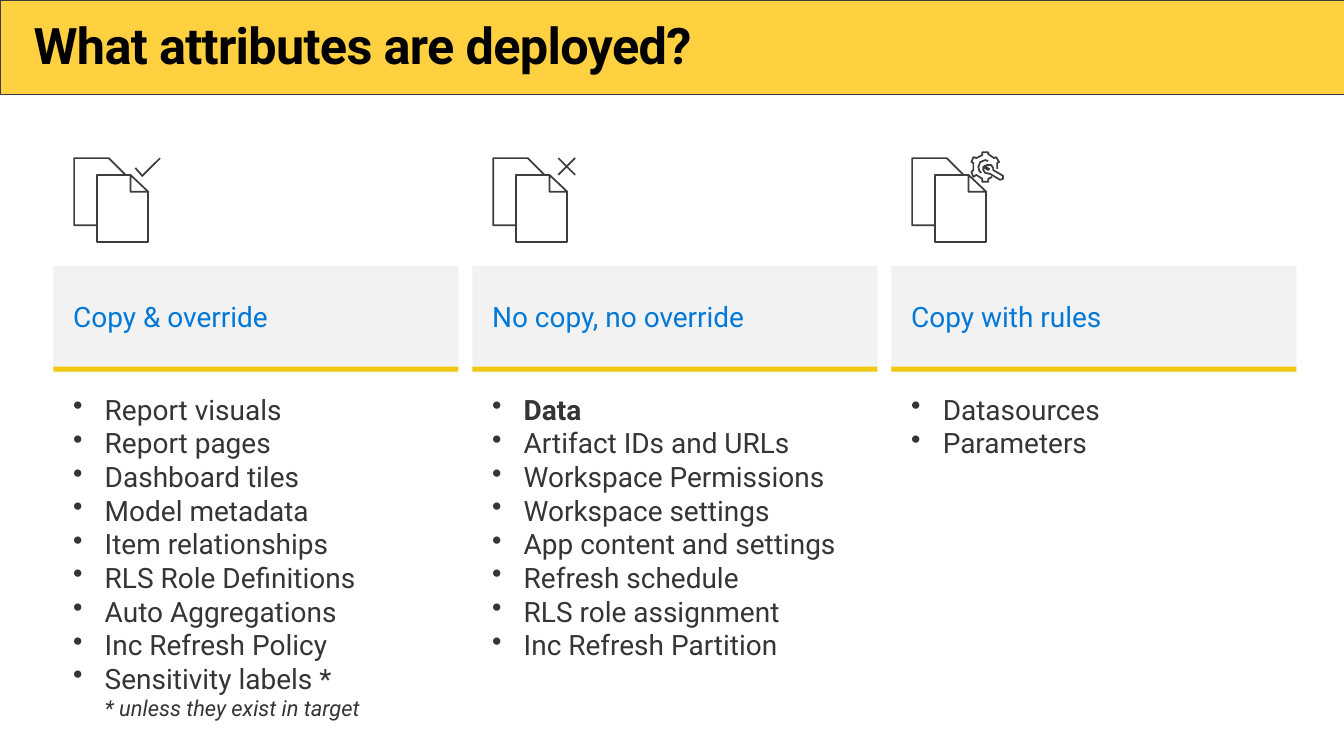
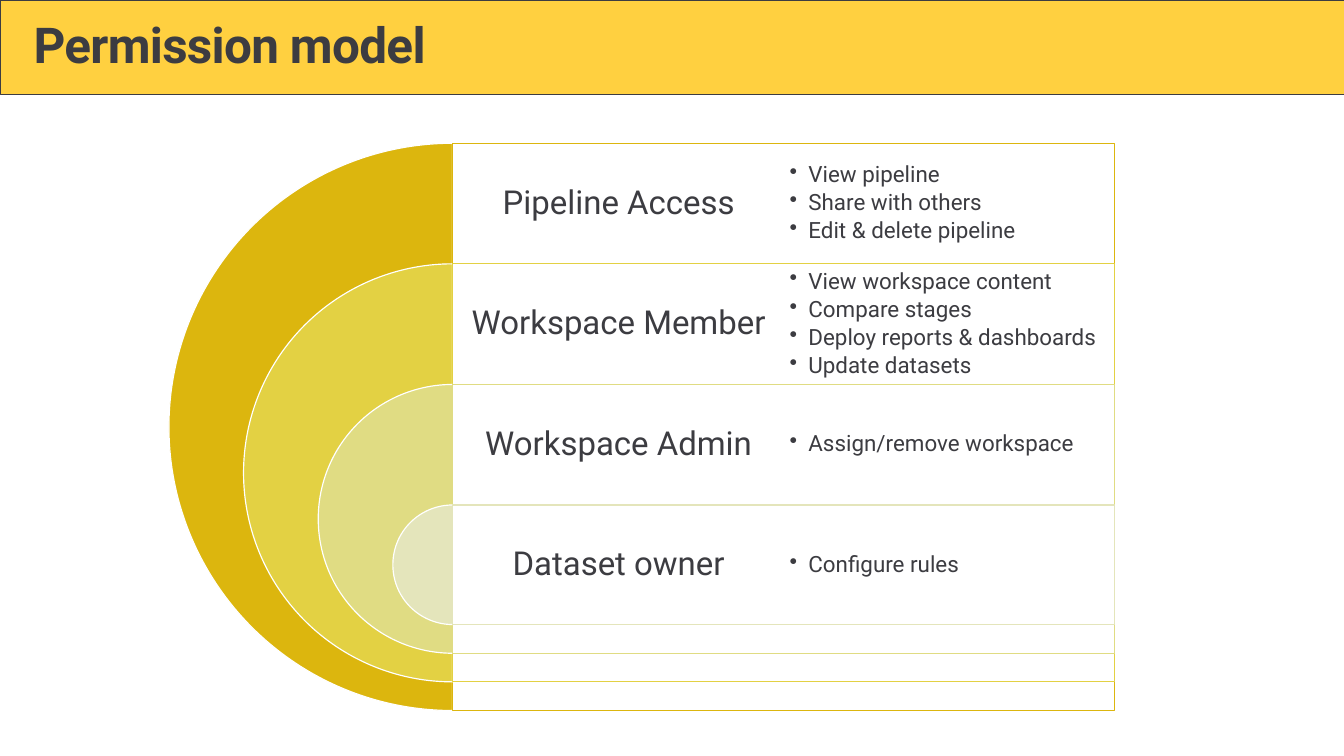
from lxml import etree
from pptx import Presentation
from pptx.dml.color import RGBColor
from pptx.enum.shapes import MSO_SHAPE
from pptx.enum.text import MSO_ANCHOR, PP_ALIGN
from pptx.oxml.ns import qn
from pptx.util import Inches, Pt

RECT, PIE = MSO_SHAPE.RECTANGLE, MSO_SHAPE.PIE
MIDDLE = MSO_ANCHOR.MIDDLE
LEFT, CENTER = PP_ALIGN.LEFT, PP_ALIGN.CENTER

BLACK = RGBColor(0x00, 0x00, 0x00)
WHITE = RGBColor(0xFF, 0xFF, 0xFF)
INK = RGBColor(0x3C, 0x3C, 0x41)
TEXT = RGBColor(0x35, 0x35, 0x35)
BLUE = RGBColor(0x00, 0x78, 0xD7)
PALE = RGBColor(0xF2, 0xF2, 0xF2)
BAND = RGBColor(0xFF, 0xD0, 0x40)
GOLD = RGBColor(0xF2, 0xC8, 0x0F)
FONT = "Roboto"


def block(shapes, kind, at, fill, line=None, width=0.85):
    shape = shapes.add_shape(kind, *[Inches(n) for n in at])
    shape.shadow.inherit = False
    shape.fill.solid()
    shape.fill.fore_color.rgb = fill
    if line is None:
        shape.line.fill.background()
    else:
        shape.line.color.rgb = line
        shape.line.width = Pt(width)
    return shape


def write(frame, lines, size, color, insets, indent=0):
    frame.word_wrap = True
    (frame.margin_left, frame.margin_top,
     frame.margin_right, frame.margin_bottom) = [Inches(n) for n in insets]
    for i, line in enumerate(lines):
        par = frame.add_paragraph() if i else frame.paragraphs[0]
        par.text = line
        par.alignment = LEFT
        if indent:
            props = par._p.get_or_add_pPr()
            props.set("marL", str(Inches(indent)))
            props.set("indent", str(-Inches(indent)))
            etree.SubElement(props, qn("a:buChar")).set("char", "•")
        par.font.name = FONT
        par.font.size = Pt(size)
        par.font.color.rgb = color
    return frame.paragraphs


deck = Presentation()
deck.slide_width, deck.slide_height = Inches(13.6), Inches(7.65)
layout = deck.slide_layouts[5]

slides = []
for name, size, color in [
    ("What attributes are deployed?", 36.7, BLACK),
    ("Permission model", 36, INK),
]:
    slide = deck.slides.add_slide(layout)
    title = slide.shapes.title
    title.left, title.top = Inches(0.34), Inches(0.21)
    title.width, title.height = Inches(12.91), Inches(0.55)
    title.text_frame.vertical_anchor = MIDDLE
    par = write(title.text_frame, [name], size, color, (0, 0, 0, 0))[0]
    par.line_spacing = 0.9
    par.font.bold = True
    par.font._element.set("spc", "-50")
    slides.append(slide)

band = block(slides[0].shapes, RECT, (0, 0, 13.6, 0.96), BAND, INK, 0.5)
layout.shapes.element.insert(2, band.element)

pages = [
    [(0.75, 1.94), (0.57, 1.94), (0.57, 1.77), (0.75, 1.94)],
    [(0.57, 1.77), (0.23, 1.77), (0.23, 2.45), (0.75, 2.45), (0.75, 1.94)],
    [(0.52, 1.77), (0.35, 1.6), (0, 1.6), (0, 2.28), (0.23, 2.28)],
]
tick = [[(0.87, 1.6), (0.69, 1.78), (0.62, 1.7)]]
cross = [[(0.66, 1.6), (0.83, 1.77)], [(0.83, 1.6), (0.66, 1.77)]]
gear = [
    [(0.81, 1.79), (0.77, 1.81), (0.77, 1.84), (0.71, 1.84), (0.71, 1.81),
     (0.65, 1.77), (0.62, 1.79), (0.6, 1.74), (0.62, 1.72), (0.62, 1.65),
     (0.6, 1.64), (0.62, 1.59), (0.65, 1.6), (0.71, 1.57), (0.71, 1.54),
     (0.77, 1.54), (0.77, 1.56), (0.83, 1.6), (0.85, 1.59), (0.88, 1.64),
     (0.86, 1.65), (0.86, 1.71)],
    [(0.77, 1.63), (0.74, 1.62), (0.69, 1.64), (0.67, 1.69), (0.68, 1.73),
     (0.7, 1.75)],
    [(0.79, 1.76), (0.89, 1.82), (0.92, 1.81), (0.92, 1.78), (0.82, 1.72),
     (0.82, 1.7), (0.8, 1.67), (0.76, 1.67), (0.73, 1.68), (0.78, 1.71),
     (0.77, 1.72), (0.72, 1.69), (0.72, 1.72), (0.74, 1.75), (0.79, 1.76)],
]
groups = [
    ("Copy & override", tick,
     ["Report visuals", "Report pages", "Dashboard tiles", "Model metadata",
      "Item relationships", "RLS Role Definitions", "Auto Aggregations",
      "Inc Refresh Policy", "Sensitivity labels *"]),
    ("No copy, no override", cross,
     ["Data", "Artifact IDs and URLs", "Workspace Permissions",
      "Workspace settings", "App content and settings", "Refresh schedule",
      "RLS role assignment", "Inc Refresh Partition"]),
    ("Copy with rules", gear, ["Datasources", "Parameters"]),
]

shapes = slides[0].shapes
lists = []
for i, (head, mark, items) in enumerate(groups):
    left = 0.54 + 4.24 * i
    card = block(shapes, RECT, (left, 2.69, 4.1, 1.07), PALE)
    write(card.text_frame, [head], 20.4, BLUE, (0.2, 0.05, 0.1, 0.1))
    block(shapes, RECT, (left, 3.71, 4.1, 0.05), GOLD)
    box = shapes.add_textbox(Inches(left), Inches(3.97), Inches(4.1),
                             Inches(0.34 * len(items)))
    lists.append(write(box.text_frame, items, 20.4, TEXT, (0.2, 0, 0, 0), 0.32))
    for strokes in (pages, mark):
        pen = None
        for stroke in strokes:
            dots = [(Inches(left + 0.21 + x), Inches(y)) for x, y in stroke]
            if pen is None:
                pen = shapes.build_freeform(*dots[0])
            else:
                pen.move_to(*dots[0])
            pen.add_line_segments(dots[1:], close=False)
        icon = pen.convert_to_shape()
        icon.shadow.inherit = False
        icon.fill.background()
        icon.line.color.rgb = INK
        icon.line.width = Pt(1.25)

lists[1][0].font.bold = True
last = lists[0][-1]
last.add_line_break()
note = last.add_run()
note.text = "* unless they exist in target"
note.font.size = Pt(16)
note.font.italic = True

roles = [
    ("Pipeline Access", RGBColor(0xDC, 0xB6, 0x0E),
     ["View pipeline", "Share with others", "Edit & delete pipeline"]),
    ("Workspace Member", RGBColor(0xE3, 0xD1, 0x43),
     ["View workspace content", "Compare stages",
      "Deploy reports & dashboards", "Update datasets"]),
    ("Workspace Admin", RGBColor(0xE0, 0xDC, 0x83),
     ["Assign/remove workspace"]),
    ("Dataset owner", RGBColor(0xE4, 0xE5, 0xBB), ["Configure rules"]),
]

shapes = slides[1].shapes
row, axis = 1.22, 4.58
for i, (role, color, rights) in enumerate(roles):
    top = 1.45 + row * i
    size = 5.74 - 1.51 * i
    ring = block(shapes, PIE, (axis - size / 2, top, size, size), color, WHITE)
    ring.adjustments[0], ring.adjustments[1] = 54, 162
    panel = block(shapes, RECT, (axis, top, 6.7, size), WHITE, color)
    tint = panel.fill._xPr.find(qn("a:solidFill"))[0]
    etree.SubElement(tint, qn("a:alpha")).set("val", "90000")
    par = write(panel.text_frame, [role], 24, INK,
                (0.14, 0.14, 3.48, size - row + 0.14))[0]
    par.alignment = CENTER
    par.line_spacing = 0.9

for i, (role, color, rights) in enumerate(roles):
    box = shapes.add_textbox(Inches(7.92), Inches(1.45 + row * i),
                             Inches(3.35), Inches(row))
    box.text_frame.vertical_anchor = MIDDLE
    for par in write(box.text_frame, rights, 16.3, INK, [0.07] * 4, 0.19):
        par.line_spacing = 0.9
        par.space_after = Pt(2.9)

deck.save("out.pptx")
